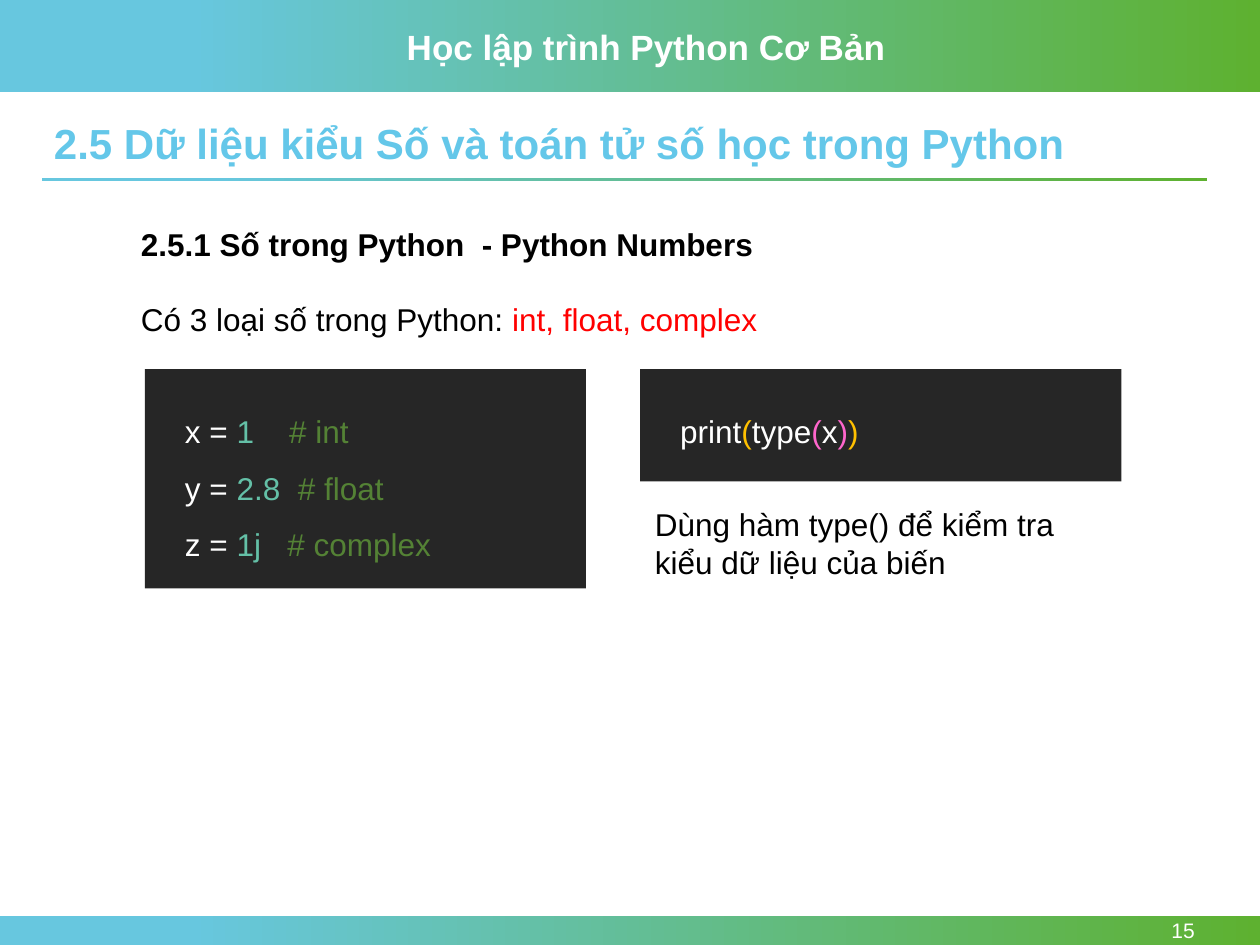
from dataclasses import dataclass

from pptx import Presentation
from pptx.dml.color import RGBColor
from pptx.enum.shapes import MSO_SHAPE
from pptx.enum.text import MSO_ANCHOR, PP_ALIGN
from pptx.util import Inches, Pt

FONT = "Arial"
WHITE = RGBColor(0xFF, 0xFF, 0xFF)
BLACK = RGBColor(0x00, 0x00, 0x00)
RED = RGBColor(0xFF, 0x00, 0x00)
BAND_BLUE = RGBColor(0x67, 0xC7, 0xDF)
BAND_GREEN = RGBColor(0x5E, 0xB1, 0x30)
TITLE_BLUE = RGBColor(0x64, 0xC7, 0xE9)
CODE_BACK = RGBColor(0x26, 0x26, 0x26)
NUMBER = RGBColor(0x64, 0xC0, 0xA7)
COMMENT = RGBColor(0x54, 0x82, 0x35)
GOLD = RGBColor(0xFF, 0xC0, 0x00)
PINK = RGBColor(0xFF, 0x66, 0xCC)


@dataclass(frozen=True)
class Box:
    left: float
    top: float
    width: float
    height: float

    def lengths(self):
        return [Inches(v) for v in (self.left, self.top, self.width, self.height)]


@dataclass(frozen=True)
class Run:
    text: str
    color: RGBColor = BLACK


@dataclass(frozen=True)
class Label:
    """Text box content: one list of runs per line."""
    box: Box
    lines: list[list[Run]]
    size: int = 18
    bold: bool = False
    spacing: float = 1.0
    align: PP_ALIGN = PP_ALIGN.LEFT
    anchor: MSO_ANCHOR = MSO_ANCHOR.TOP


def add_rect(s, box: Box):
    sp = s.shapes.add_shape(MSO_SHAPE.RECTANGLE, *box.lengths())
    sp.shadow.inherit = False
    sp.line.fill.background()
    return sp


def add_band(s, box: Box) -> None:
    fill = add_rect(s, box).fill
    fill.gradient()
    fill.gradient_angle = 0
    stops = ((0.15, BAND_BLUE), (1.0, BAND_GREEN))
    for stop, (position, color) in zip(fill.gradient_stops, stops):
        stop.position = position
        stop.color.rgb = color


def add_code_panel(s, box: Box) -> None:
    fill = add_rect(s, box).fill
    fill.solid()
    fill.fore_color.rgb = CODE_BACK


def add_label(s, label: Label) -> None:
    tf = s.shapes.add_textbox(*label.box.lengths()).text_frame
    tf.word_wrap = True
    tf.vertical_anchor = label.anchor
    for i, line in enumerate(label.lines):
        p = tf.add_paragraph() if i else tf.paragraphs[0]
        p.alignment = label.align
        p.line_spacing = label.spacing
        for run in line:
            r = p.add_run()
            r.text = run.text
            r.font.name = FONT
            r.font.size = Pt(label.size)
            r.font.bold = label.bold
            r.font.color.rgb = run.color


BANDS = [Box(0, 0, 10, 0.73), Box(0, 7.27, 10, 0.23), Box(0.33, 1.41, 9.25, 0.03)]
CODE_PANELS = [Box(1.15, 2.93, 3.5, 1.74), Box(5.08, 2.93, 3.82, 0.89)]

ASSIGNMENTS = [
    [Run("x = ", WHITE), Run("1   ", NUMBER), Run(" # int", COMMENT)],
    [Run("y = ", WHITE), Run("2.8  ", NUMBER), Run("# float", COMMENT)],
    [Run("z = ", WHITE), Run("1j   ", NUMBER), Run("# complex", COMMENT)],
]
TYPE_CALL = [[
    Run("print", WHITE), Run("(", GOLD), Run("type", WHITE), Run("(", PINK),
    Run("x", WHITE), Run(")", PINK), Run(")", GOLD),
]]

LABELS = [
    Label(Box(3.13, 0.15, 4, 0.44), [[Run("Học lập trình Python Cơ Bản", WHITE)]],
          size=20, bold=True),
    Label(Box(8.66, 7.27, 0.92, 0.23), [[Run("15", WHITE)]],
          size=12, align=PP_ALIGN.RIGHT, anchor=MSO_ANCHOR.MIDDLE),
    Label(Box(0.33, 0.93, 9.25, 0.46),
          [[Run("2.5 Dữ liệu kiểu Số và toán tử số học trong Python", TITLE_BLUE)]],
          size=24, bold=True, spacing=0.9),
    Label(Box(1.02, 1.74, 7.44, 0.4),
          [[Run("2.5.1 Số trong Python  - Python Numbers")]], bold=True),
    Label(Box(1.02, 2.33, 6.01, 0.4),
          [[Run("Có 3 loại số trong Python: "), Run("int, float, complex", RED)]]),
    Label(Box(1.37, 3.07, 3.1, 1.46), ASSIGNMENTS, spacing=1.5),
    Label(Box(5.3, 3.07, 3.1, 0.56), TYPE_CALL, spacing=1.5),
    Label(Box(5.1, 3.96, 3.87, 0.71),
          [[Run("Dùng hàm type() để kiểm tra")], [Run("kiểu dữ liệu của biến")]]),
]


def main() -> None:
    prs = Presentation()
    prs.slide_width, prs.slide_height = Inches(10), Inches(7.5)
    s = prs.slides.add_slide(prs.slide_layouts[6])
    for box in BANDS:
        add_band(s, box)
    for box in CODE_PANELS:
        add_code_panel(s, box)
    for label in LABELS:
        add_label(s, label)
    prs.save("out.pptx")


if __name__ == "__main__":
    main()
